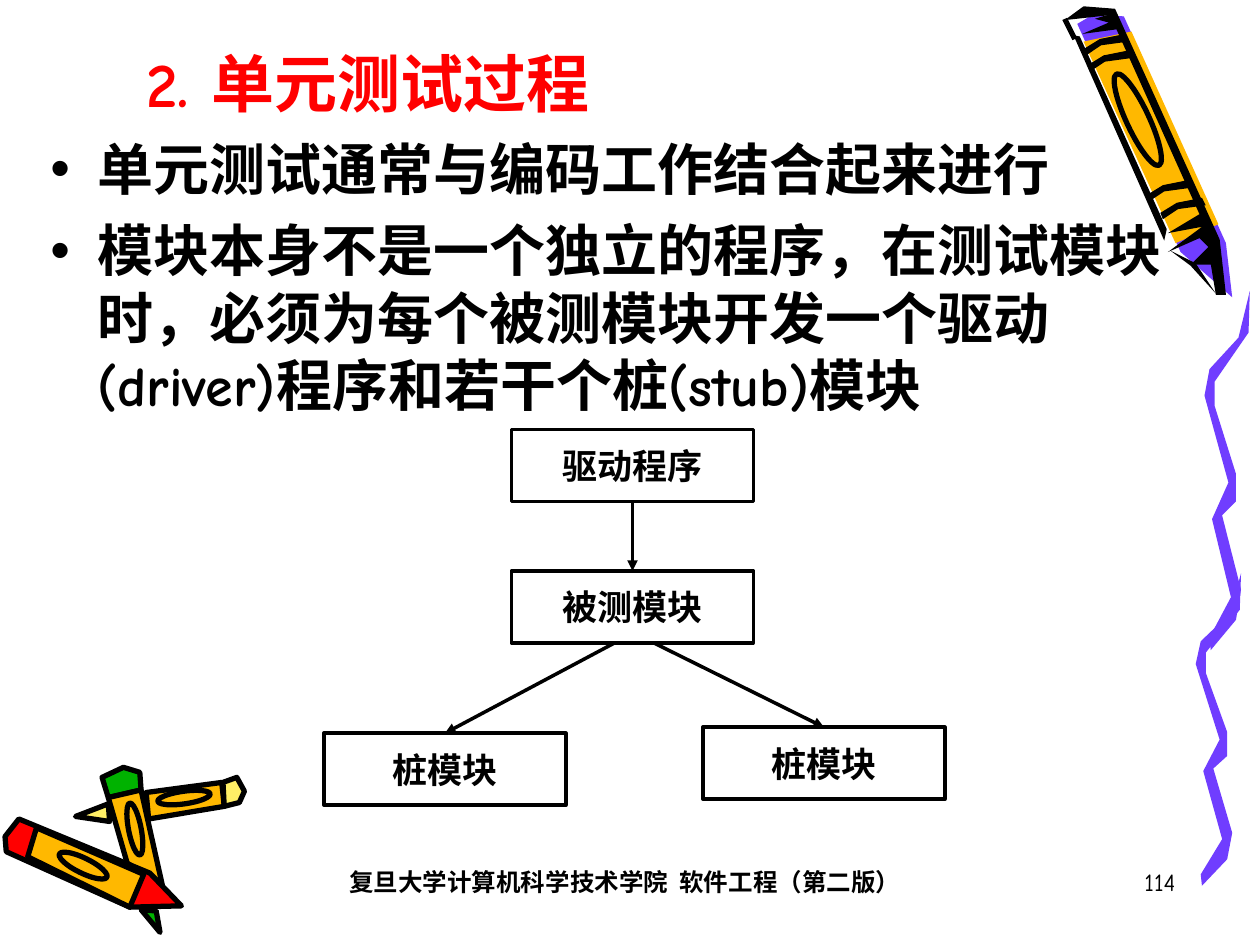
import pptx
import pptx.dml.color
import pptx.enum.shapes
import pptx.enum.text
import pptx.oxml
import pptx.oxml.ns
import pptx.util

Cm, Pt = pptx.util.Cm, pptx.util.Pt
ALIGN = pptx.enum.text.PP_ALIGN
ANCHOR = pptx.enum.text.MSO_ANCHOR
SHAPE = pptx.enum.shapes.MSO_SHAPE
STRAIGHT = pptx.enum.shapes.MSO_CONNECTOR.STRAIGHT

BLACK, RED, GREEN = "000000", "FF0000", "00B200"
PURPLE, AMBER, YELLOW = "703DFF", "FFB800", "FFEF66"

TITLE = "2. 单元测试过程"
POINTS = [
    "单元测试通常与编码工作结合起来进行",
    "模块本身不是一个独立的程序，在测试模块时，必须为每个被测模块开发一个驱动(driver)程序和若干个桩(stub)模块",
]
FOOT = "复旦大学计算机科学技术学院  软件工程（第二版）"
PAGE = "114"

# name: (label, left, top) in cm
BOXES = {
    "driver": ("驱动程序", 10.31, 8.66),
    "tested": ("被测模块", 10.31, 11.51),
    "stub1": ("桩模块", 6.53, 14.78),
    "stub2": ("桩模块", 14.17, 14.66),
}
BOX_W, BOX_H = 4.88, 1.45
# (from, to, offset of the start from the middle of the bottom side)
ARROWS = [("driver", "tested", 0), ("tested", "stub2", 0.43), ("tested", "stub1", -0.36)]

# Outlines: (fill, x, y, x, y, ...) in units of 0.0254 cm
UNIT = Cm(0.0254)
CRAYONS = [
    (YELLOW, 86, 638, 60, 648, 87, 652),
    (AMBER, 176, 621, 116, 629, 118, 650, 178, 640),
    (YELLOW, 177, 621, 188, 617, 194, 628, 190, 637, 178, 640),
    (GREEN, 124, 723, 127, 740, 112, 722),
    (GREEN, 81, 617, 98, 609, 111, 613, 112, 627, 86, 633),
    (AMBER, 86, 633, 112, 627, 129, 703, 101, 685),
    (RED, 15, 650, 119, 693, 144, 719, 103, 720, 5, 676, 4, 664),
    (AMBER, 22, 680, 103, 720, 114, 694, 29, 657),
]
PENCIL = [
    (PURPLE, 855, 19, 937, 200, 978, 236, 973, 193, 892, 13, 867, 12),
    (AMBER, 933, 193, 967, 178, 898, 25, 860, 33),
    (BLACK, 929, 199, 945, 211, 965, 233, 949, 209),
    (BLACK, 859, 27, 889, 23, 882, 11, 869, 15, 880, 18),
    (BLACK, 852, 28, 924, 191, 926, 182, 857, 29),
    (BLACK, 927, 200, 954, 180, 927, 185, 952, 170, 881, 12, 845, 16, 860, 5, 885, 7,
     968, 190, 973, 234, 965, 234, 961, 210, 945, 210, 959, 196, 952, 189),
]
PENCIL_EDGE = (845, 15, 853, 31)
BAND = (0, 0, 12, -8, 34, -11, 31, -17, 11, -13, -2, -5)
BAND_AT = [(862, 44), (865, 57), (912, 160), (923, 174)]
# Ovals on the barrels: (middle x, middle y, length, breadth, turn)
PENCIL_OVAL = (903, 95, 80, 18, 65)
CRAYON_OVALS = [(66, 687, 42, 12, 26), (107, 658, 42, 10, 79), (146, 633, 42, 10, -8)]
# One wave drawn twice, the upper one stretched: (left, top, stretch)
WAVE = (4, 239, 21, 211, 6, 157, 19, 132, 0, 72, 4, 54, 27, 32, 36, 0, 35, 29, 8, 63,
        8, 79, 25, 126, 25, 145, 14, 155, 29, 206, 25, 227, 5, 248)
WAVE_AT = [(949, 455, 1), (956, 231, 1.15)]


def rgb(code):
    return pptx.dml.color.RGBColor.from_string(code)


def put(obj, vals):
    for key, val in vals.items():
        setattr(obj, key, val)


def write(shape, texts, frame, para, font, color=BLACK, gap=0):
    """Fill a shape with paragraphs; gap is the space between them in points."""
    body = shape.text_frame
    put(body, {"word_wrap": True, "auto_size": pptx.enum.text.MSO_AUTO_SIZE.NONE, **frame})
    for i, text in enumerate(texts):
        line = body.add_paragraph() if i else body.paragraphs[0]
        line.text = text
        put(line, {"space_before": Pt(gap if i else 0), **para})
        put(line.font, font)
        line.font.color.rgb = rgb(color)


def place(shape, left, top, width, height):
    put(shape, {"left": Cm(left), "top": Cm(top), "width": Cm(width), "height": Cm(height)})


def paint(shape, fill, width):
    """Set fill and black line; None or 0 leaves them out."""
    shape.shadow.inherit = False
    if fill:
        shape.fill.solid()
        shape.fill.fore_color.rgb = rgb(fill)
    else:
        shape.fill.background()
    if width:
        shape.line.color.rgb = rgb(BLACK)
        shape.line.width = Pt(width)
    else:
        shape.line.fill.background()


def shift(flat, x, y, grow=1):
    """Move an outline to x, y and stretch it downwards."""
    return [round(n * grow) + y if i % 2 else n + x for i, n in enumerate(flat)]


def draw(shapes, art, ovals, width):
    group = shapes.add_group_shape()
    for fill, *flat in art:
        dots = list(zip(flat[::2], flat[1::2]))
        pen = group.shapes.build_freeform(*dots[0], scale=UNIT)
        pen.add_line_segments(dots[1:], close=True)
        paint(pen.convert_to_shape(), fill, width)
    for x, y, long, broad, turn in ovals:
        sides = [int(n * UNIT) for n in (x - long / 2, y - broad / 2, long, broad)]
        oval = group.shapes.add_shape(SHAPE.OVAL, *sides)
        oval.rotation = turn
        paint(oval, None, 3)
    return group


def link(shapes, ends, width, arrow=False):
    line = shapes.add_connector(STRAIGHT, *ends)
    line.line.color.rgb = rgb(BLACK)
    line.line.width = Pt(width)
    props = line.element.spPr
    if arrow:
        tip = pptx.oxml.parse_xml(
            f'<a:tailEnd {pptx.oxml.ns.nsdecls("a")} type="triangle"/>')
        props.find(pptx.oxml.ns.qn("a:ln")).append(tip)
    props.append(pptx.oxml.parse_xml(f'<a:effectLst {pptx.oxml.ns.nsdecls("a")}/>'))
    return line


def main():
    deck = pptx.Presentation()
    put(deck, {"slide_width": Cm(25.4), "slide_height": Cm(19.05)})
    slide = deck.slides.add_slide(deck.slide_layouts[1])
    shapes = slide.shapes
    title, body = shapes.title, slide.placeholders[1]

    draw(shapes, CRAYONS, CRAYON_OVALS, 3)
    draw(shapes, [(PURPLE, *shift(WAVE, *at)) for at in WAVE_AT], [], 0)
    bands = [(BLACK, *shift(BAND, *at)) for at in BAND_AT]
    pencil = draw(shapes, PENCIL + bands, [PENCIL_OVAL], 0)
    link(pencil.shapes, [n * UNIT for n in PENCIL_EDGE], 3)

    comic = {"name": "Comic Neue", "bold": True}
    place(title, 2.69, 0.71, 12.27, 1.83)
    write(title, [TITLE], {"vertical_anchor": ANCHOR.BOTTOM}, {"alignment": ALIGN.JUSTIFY},
          {**comic, "size": Pt(36)}, RED)
    place(body, 0.76, 2.59, 23.98, 15.62)
    write(body, POINTS, {}, {}, {**comic, "size": Pt(32)}, gap=8)
    for item in (title, body):  # text lies above the crayons
        shapes.element.append(item.element)

    for text, left, width, side, bold in ((FOOT, 5.08, 15.04, ALIGN.CENTER, True),
                                          (PAGE, 18.67, 5.28, ALIGN.RIGHT, False)):
        box = shapes.add_textbox(Cm(left), Cm(17.35), Cm(width), Cm(1.27))
        write(box, [text], {}, {"alignment": side}, {**comic, "size": Pt(14), "bold": bold})

    nodes = {}
    for name, (label, left, top) in BOXES.items():
        node = shapes.add_shape(SHAPE.RECTANGLE, Cm(left), Cm(top), Cm(BOX_W), Cm(BOX_H))
        paint(node, None, 2)
        write(node, [label], {"vertical_anchor": ANCHOR.MIDDLE}, {"alignment": ALIGN.CENTER},
              {"name": "Times New Roman", "size": Pt(20), "bold": True})
        nodes[name] = node

    for start, end, off in ARROWS:
        src = nodes[start]
        x, y = src.left + src.width // 2 + Cm(off), src.top + src.height
        line = link(shapes, (x, y, x, y), 2, arrow=True)
        if not off:
            line.begin_connect(src, 2)
        line.end_connect(nodes[end], 0)

    deck.save("out.pptx")


if __name__ == "__main__":
    main()
